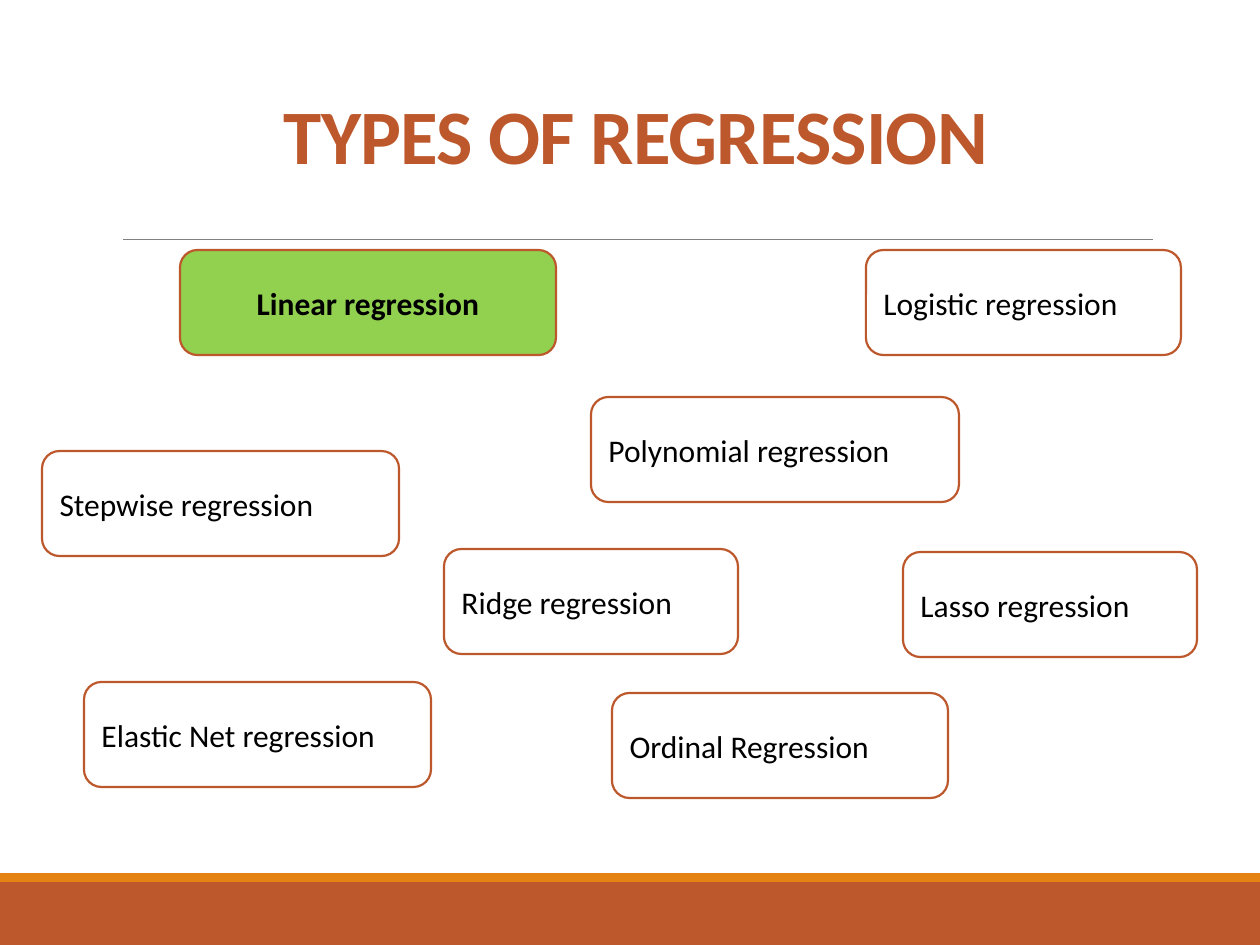
import pptx
import pptx.dml.color
import pptx.enum.shapes
import pptx.enum.text
import pptx.oxml.ns
import pptx.util
import lxml.etree

RGBColor = pptx.dml.color.RGBColor
SHAPE = pptx.enum.shapes.MSO_SHAPE
ALIGN = pptx.enum.text.PP_ALIGN
ANCHOR = pptx.enum.text.MSO_ANCHOR

RUST = RGBColor(0xBD, 0x58, 0x2C)
ORANGE = RGBColor(0xE4, 0x83, 0x12)
GREEN = RGBColor(0x92, 0xD0, 0x50)
GREY = RGBColor(0x80, 0x80, 0x80)
WHITE = RGBColor(0xFF, 0xFF, 0xFF)
BLACK = RGBColor(0x00, 0x00, 0x00)

PX_PER_INCH = 126
SLIDE_W, SLIDE_H = 1260, 945
BOX_H = 105

REGRESSIONS = [
    ("Logistic regression", 866, 250, 315),
    ("Stepwise regression", 42, 451, 357),
    ("Ridge regression", 444, 549, 294),
    ("Polynomial regression", 591, 397, 368),
    ("Lasso regression", 903, 552, 294),
    ("Ordinal Regression", 612, 693, 336),
    ("Elastic Net regression", 84, 682, 347),
]


def px(n):
    """Turn pixels into EMU."""
    return pptx.util.Emu(round(n * 914400 / PX_PER_INCH))


class SlideBuilder:
    """Hold the style and the current slide, and add elements to it."""

    font = "Calibri"

    def __init__(self, prs):
        """Add a blank slide to the presentation."""
        self.s = prs.slides.add_slide(prs.slide_layouts[6])

    def text(self, tf, text, size, color, bold=False, align=ALIGN.LEFT):
        """Write one run into the first paragraph of a frame."""
        tf.word_wrap = True
        p = tf.paragraphs[0]
        p.alignment = align
        r = p.add_run()
        r.text = text
        r.font.name = self.font
        r.font.size = pptx.util.Pt(size)
        r.font.bold = bold
        r.font.color.rgb = color
        return p, r

    def shape(self, kind, x, y, w, h, fill, line=None):
        """Add a filled preset shape with an optional outline."""
        sp = self.s.shapes.add_shape(kind, px(x), px(y), px(w), px(h))
        sp.shadow.inherit = False
        sp.fill.solid()
        sp.fill.fore_color.rgb = fill
        if line is None:
            sp.line.fill.background()
        else:
            sp.line.color.rgb = line
            sp.line.width = pptx.util.Pt(1.25)
        return sp

    def band(self, y, h, fill):
        """Add a full-width band."""
        self.shape(SHAPE.RECTANGLE, 0, y, SLIDE_W, h, fill)

    def box(self, text, x, y, w, fill=WHITE, bold=False, align=ALIGN.LEFT):
        """Add a rounded box that names a regression type."""
        sp = self.shape(SHAPE.ROUNDED_RECTANGLE, x, y, w, BOX_H, fill, RUST)
        sp.text_frame.vertical_anchor = ANCHOR.MIDDLE
        self.text(sp.text_frame, text, 18, BLACK, bold, align)

    def rule(self, x1, x2, y):
        """Add a thin horizontal line."""
        line = self.s.shapes.add_connector(
            pptx.enum.shapes.MSO_CONNECTOR.STRAIGHT, px(x1), px(y), px(x2), px(y))
        line.line.color.rgb = GREY
        line.line.width = pptx.util.Pt(0.5)
        lxml.etree.SubElement(line._element.spPr, pptx.oxml.ns.qn("a:effectLst"))

    def title(self, text, x, y, w, h):
        """Add the bottom-anchored slide title."""
        tf = self.s.shapes.add_textbox(px(x), px(y), px(w), px(h)).text_frame
        tf.vertical_anchor = ANCHOR.BOTTOM
        p, r = self.text(tf, text, 44, RUST, True, ALIGN.CENTER)
        p.line_spacing = 0.85
        r._r.get_or_add_rPr().set("spc", "-50")


def main():
    """Build and save the slide."""
    prs = pptx.Presentation()
    prs.slide_width, prs.slide_height = px(SLIDE_W), px(SLIDE_H)
    slide = SlideBuilder(prs)
    slide.band(882, 63, RUST)
    slide.band(873, 9, ORANGE)
    slide.rule(123, 1153, 239)
    slide.title("TYPES OF REGRESSION", 116, -14, 1040, 200)
    for name, x, y, w in REGRESSIONS:
        slide.box(name, x, y, w)
    slide.box("Linear regression", 180, 250, 376, GREEN, True, ALIGN.CENTER)
    prs.save("out.pptx")


if __name__ == "__main__":
    main()
